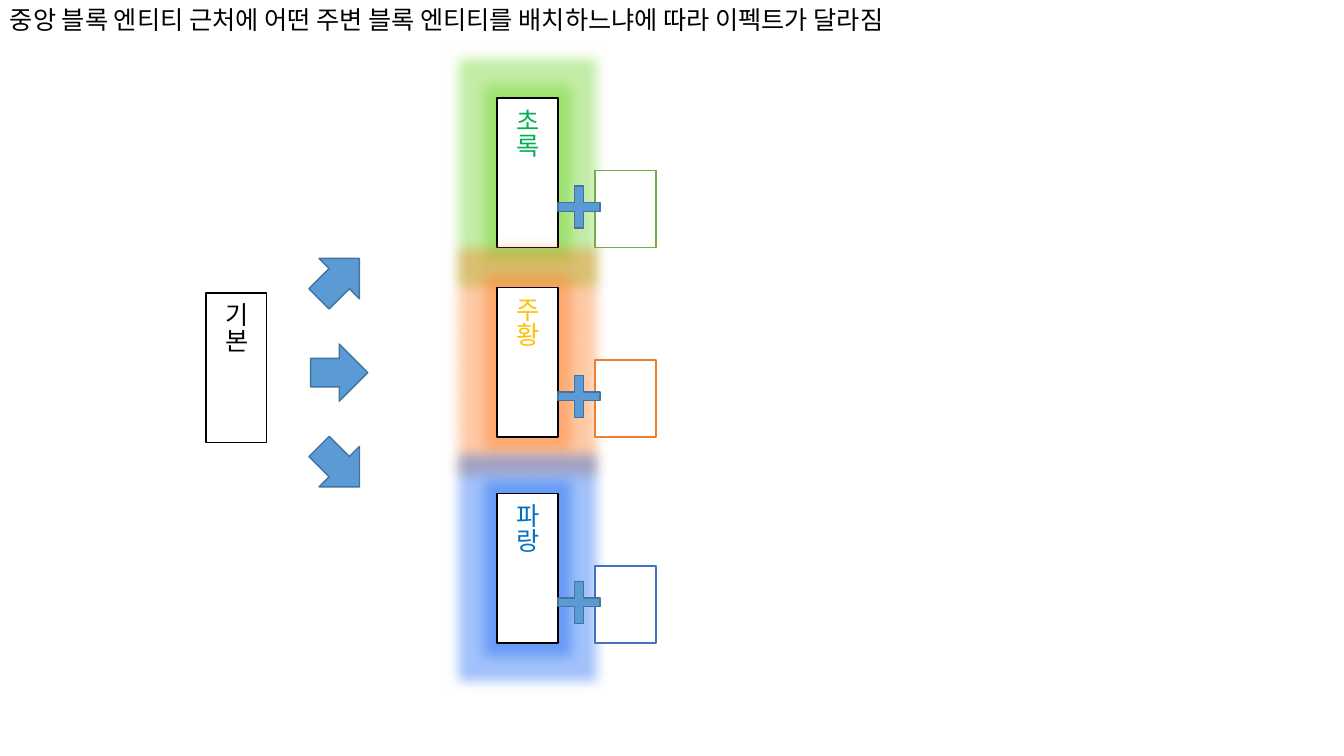
from lxml.etree import SubElement
from pptx import Presentation
from pptx.dml.color import RGBColor
from pptx.enum.shapes import MSO_SHAPE
from pptx.enum.text import MSO_ANCHOR, MSO_AUTO_SIZE, PP_ALIGN
from pptx.oxml.ns import qn
from pptx.util import Cm, Pt

FONT = "Noto Sans CJK KR"
BAR_W, BAR_H = 1.53, 3.77
BLOCK_H = 1.94
ICON = 1.44


def paint(color, value):
    color.rgb = RGBColor.from_string(value)


def write(frame, text, color="000000", size=18, align=PP_ALIGN.LEFT):
    para = frame.paragraphs[0]
    para.alignment = align
    run = para.add_run()
    run.text = text
    run.font.name = FONT
    run.font.size = Pt(size)
    run.font.fill.solid()
    paint(run.font.fill.fore_color, color)
    SubElement(run.font._element, qn("a:ea"), typeface=FONT)


def draw(slide, kind, box, fill="FFFFFF", line="000000"):
    shape = slide.shapes.add_shape(kind, *map(Cm, box))
    shape.shadow.inherit = False
    shape.fill.solid()
    paint(shape.fill.fore_color, fill)
    paint(shape.line.color, line)
    shape.line.width = Pt(1)
    return shape


def glow(shape, color):
    effects = shape._element.spPr.find(qn("a:effectLst"))
    halo = SubElement(effects, qn("a:glow"), rad=str(Pt(18)))
    tint = SubElement(halo, qn("a:srgbClr"), val=color)
    SubElement(tint, qn("a:satMod"), val="175000")
    SubElement(tint, qn("a:alpha"), val="40000")


def title(slide, box, text):
    area = slide.shapes.add_textbox(*map(Cm, box))
    area.text_frame.word_wrap = False
    area.text_frame.auto_size = MSO_AUTO_SIZE.SHAPE_TO_FIT_TEXT
    write(area.text_frame, text)


def bar(slide, left, top, text, color="000000"):
    shape = draw(slide, MSO_SHAPE.RECTANGLE, (left, top, BAR_W, BAR_H))
    frame = shape.text_frame
    frame.vertical_anchor = MSO_ANCHOR.MIDDLE
    frame._txBody.bodyPr.set("vert", "eaVert")
    write(frame, text, color=color, align=PP_ALIGN.CENTER)
    return shape


def effect(slide, left, top, text, color, accent):
    # Glowing bar, with its side block and plus sign
    glow(bar(slide, left, top, text, color), accent)
    draw(slide, MSO_SHAPE.RECTANGLE,
         (left + 2.47, top + BAR_H - BLOCK_H, BAR_W, BLOCK_H), line=accent)
    plus = draw(slide, MSO_SHAPE.MATH_PLUS,
                (left + 1.34, top + 2.03, ICON, ICON), "5B9BD5", "43739E")
    plus.adjustments[0] = 0.152


def arrows(slide, left, top, step):
    for row, angle in enumerate((315, 0, 45)):
        arrow = draw(slide, MSO_SHAPE.RIGHT_ARROW,
                     (left, top + row * step, ICON, ICON), "5B9BD5", "43739E")
        arrow.rotation = angle


def main():
    deck = Presentation()
    deck.slide_width, deck.slide_height = Cm(33.87), Cm(19.05)
    slide = deck.slides.add_slide(deck.slide_layouts[6])

    title(slide, (0, -0.02, 25.45, 1.03),
          "중앙 블록 엔티티 근처에 어떤 주변 블록 엔티티를 배치하느냐에 따라 이펙트가 달라짐")

    # Starting state
    bar(slide, 5.19, 7.38, "기본")
    arrows(slide, 7.83, 6.3, 2.37)

    # Resulting effects
    for top, text, color, accent in (
        (2.47, "초록", "00B050", "70AD47"),
        (7.24, "주황", "FFC000", "ED7D31"),
        (12.43, "파랑", "0070C0", "4472C4"),
    ):
        effect(slide, 12.53, top, text, color, accent)

    deck.save("out.pptx")


if __name__ == "__main__":
    main()
